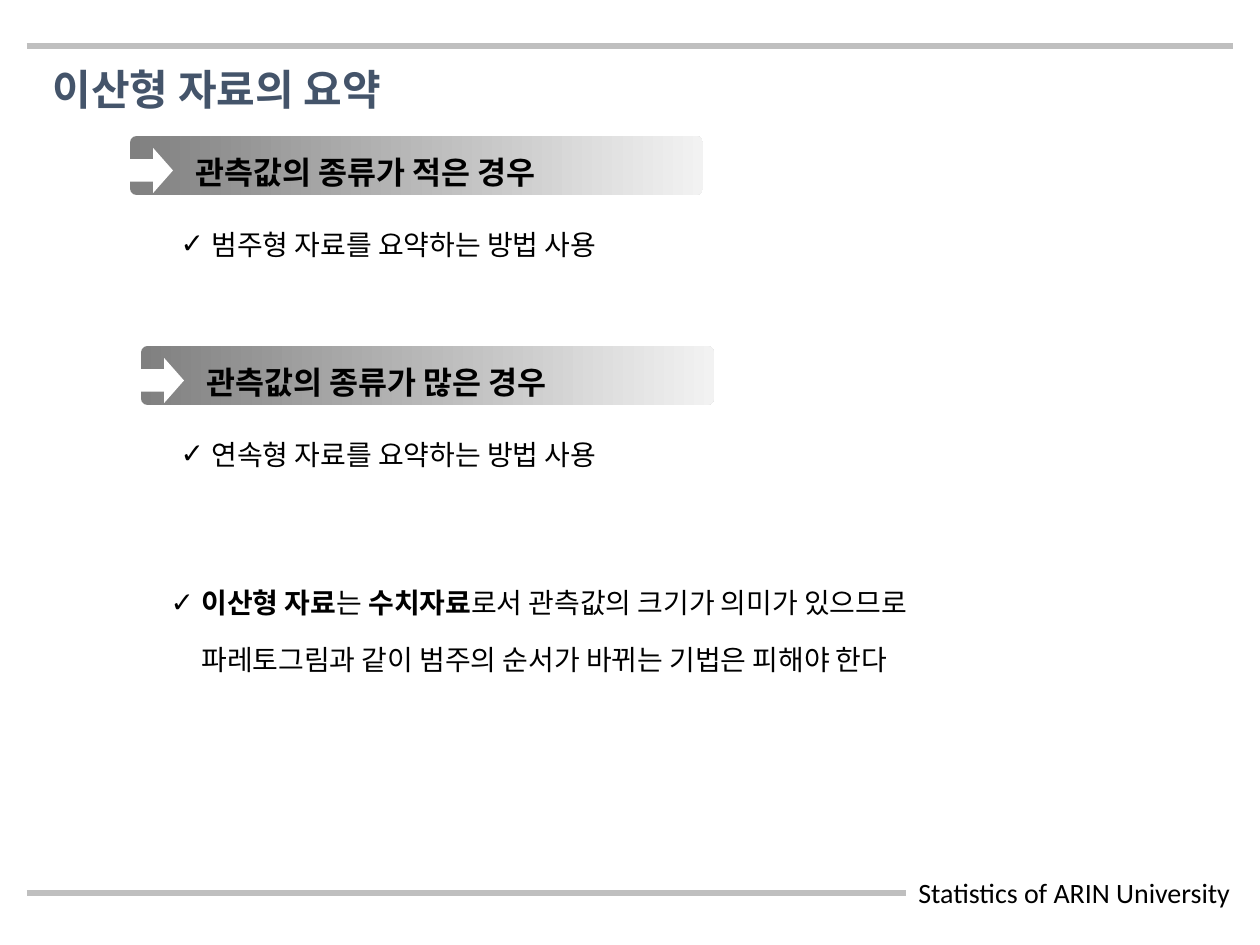
from lxml import etree
from pptx import Presentation
from pptx.dml.color import RGBColor
from pptx.enum.shapes import MSO_CONNECTOR, MSO_SHAPE
from pptx.enum.text import MSO_ANCHOR, MSO_AUTO_SIZE, PP_ALIGN
from pptx.oxml.ns import qn
from pptx.util import Emu, Inches, Pt

STRAIGHT = MSO_CONNECTOR.STRAIGHT
RECT, ROUNDED, ARROW = MSO_SHAPE.RECTANGLE, MSO_SHAPE.ROUNDED_RECTANGLE, MSO_SHAPE.RIGHT_ARROW
TOP, LEFT, NO_FIT = MSO_ANCHOR.TOP, PP_ALIGN.LEFT, MSO_AUTO_SIZE.NONE
PX_PER_INCH = 126
CHECK_INDENT = 31
BLACK, WHITE, SLATE, RULE_GREY = "000000", "FFFFFF", "44546A", "BFBFBF"
BANNER_FROM, BANNER_TO = "808080", "F2F2F2"


def px(length):
    return Emu(round(length * Inches(1) / PX_PER_INCH))


def color(value):
    return RGBColor.from_string(value)


def place(shape, left, top, width, height):
    shape.left, shape.top, shape.width, shape.height = map(px, (left, top, width, height))


def write(shape, lines, size, font, ink=BLACK, bold=False, spacing=1.0, wrap=True):
    """Each line is a list of (text, bold) runs or a plain string."""
    frame = shape.text_frame
    frame.auto_size, frame.vertical_anchor, frame.word_wrap = NO_FIT, TOP, wrap
    for number, line in enumerate(lines):
        paragraph = frame.add_paragraph() if number else frame.paragraphs[0]
        paragraph.alignment, paragraph.line_spacing = LEFT, spacing
        paragraph.space_before = Pt(0)
        paragraph.font.size, paragraph.font.name = Pt(size), font
        paragraph.font.color.rgb, paragraph.font.bold = color(ink), bold
        for text, strong in [(line, bold)] if isinstance(line, str) else line:
            run = paragraph.add_run()
            run.text = text
            if strong != bold:
                run.font.bold = strong


def add_plain_shape(slide, kind, box, fill=None):
    shape = slide.shapes.add_shape(kind, *map(px, box))
    shape.shadow.inherit = False
    shape.line.fill.background()
    if fill:
        shape.fill.solid()
        shape.fill.fore_color.rgb = color(fill)
    return shape


def add_rule(slide, left, right, y):
    rule = slide.shapes.add_connector(STRAIGHT, px(left), px(y), px(right), px(y))
    rule.line.color.rgb, rule.line.width = color(RULE_GREY), Pt(3)
    etree.SubElement(rule._element.spPr, qn("a:effectLst"))


def add_frame(slide, left, top, width, height):
    # Rules above and below, with the footer set into the lower one
    for y in (top, top + height):
        add_rule(slide, left, left + width, y)
    footer = add_plain_shape(slide, RECT, (left + 879, top + height - 24, 344, 47), WHITE)
    write(footer, ["Statistics of ARIN University"], 16, "Calibri", wrap=False)


def add_banner(slide, heading, left, top, width, height):
    # Gradient bar
    bar = add_plain_shape(slide, ROUNDED, (left, top, width, height))
    bar.adjustments[0] = 0.11
    bar.fill.gradient()
    bar.fill.gradient_angle = 0
    for stop, shade in zip(bar.fill.gradient_stops, (BANNER_FROM, BANNER_TO)):
        stop.color.rgb = color(shade)
    # Arrow cut into its left end
    arrow = add_plain_shape(slide, ARROW, (left - 4, top + 12, 47, 45), WHITE)
    arrow.adjustments[1] = 0.44
    # Heading
    label = slide.shapes.add_textbox(*map(px, (left + 53, top + 11, width - 84, 50)))
    write(label, [heading], 18, "Arial", bold=True)


def fill_checklist(body, lines, box, spacing=1.0):
    """The first line has the check mark; the rest hang below its text."""
    place(body, *box)
    write(body, lines, 16, "Arial", spacing=spacing)
    for number, paragraph in enumerate(body.text_frame.paragraphs):
        props = paragraph._p.get_or_add_pPr()
        props.set("marL", str(px(CHECK_INDENT)))
        props.set("indent", str(0 if number else -px(CHECK_INDENT)))
        if number:
            etree.SubElement(props, qn("a:buNone"))
        else:
            etree.SubElement(props, qn("a:buFont"), typeface="Arial")
            etree.SubElement(props, qn("a:buChar"), char="✓")
        # Bullets precede the default run properties in the schema
        props.append(props.find(qn("a:defRPr")))


def build_summary_slide(deck):
    slide = deck.slides.add_slide(deck.slide_layouts.get_by_name("Comparison"))
    title, note, few_list, spare, many_list = slide.placeholders
    spare._element.getparent().remove(spare._element)

    add_frame(slide, 27, 46, 1206, 847)

    place(title, 40, 57, 384, 63)
    write(title, ["이산형 자료의 요약"], 24, "Calibri", SLATE, bold=True, wrap=False)

    # Two cases, each a banner and a method
    cases = [
        ("관측값의 종류가 적은 경우", "범주형 자료를 요약하는 방법 사용", few_list, 130, 136),
        ("관측값의 종류가 많은 경우", "연속형 자료를 요약하는 방법 사용", many_list, 141, 346),
    ]
    for heading, method, body, left, top in cases:
        add_banner(slide, heading, left, top, 573, 59)
        fill_checklist(body, [method], (168, top + 85, 590, 47))

    # Closing note
    fill_checklist(note, [
        [("이산형 자료", True), ("는 ", False), ("수치자료", True),
         ("로서 관측값의 크기가 의미가 있으므로", False)],
        "파레토그림과 같이 범주의 순서가 바뀌는 기법은 피해야 한다",
    ], (158, 556, 976, 120), spacing=1.7)


deck = Presentation()
deck.slide_width, deck.slide_height = Inches(10), Inches(7.5)
build_summary_slide(deck)
deck.save("out.pptx")
